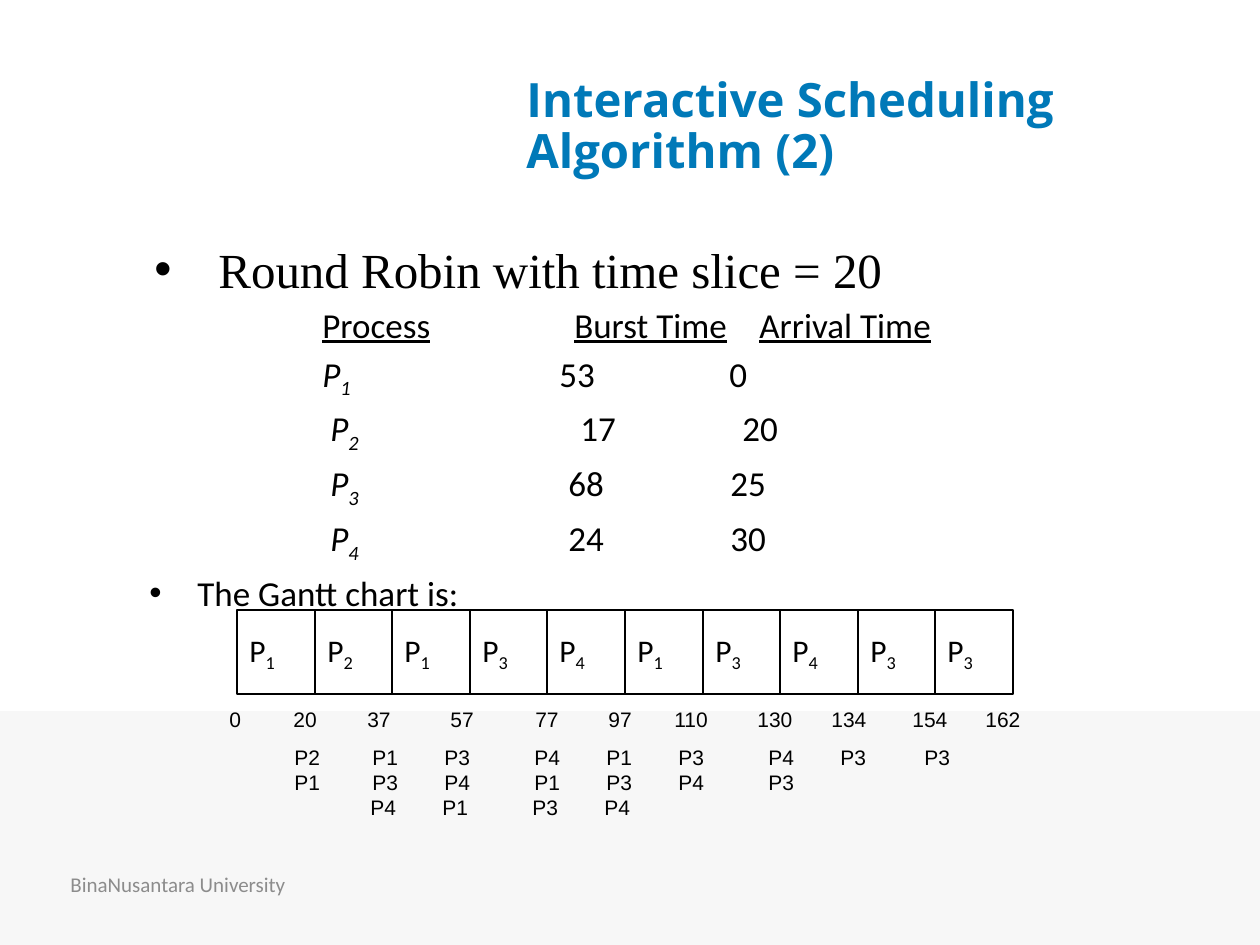
from lxml import etree
from pptx import Presentation, util as u
from pptx.dml.color import RGBColor
from pptx.enum import shapes, text
from pptx.oxml.ns import qn

SCALE = 914400 / 126
BLUE = RGBColor(0x00, 0x79, 0xB8)
BLACK = RGBColor(0, 0, 0)
WHITE = RGBColor(255, 255, 255)
PALE = RGBColor(0xF7, 0xF7, 0xF7)
GREY = RGBColor(0x8C, 0x8C, 0x8C)
MIDDLE = text.MSO_ANCHOR.MIDDLE

ROWS = [
    ("1", "53", "0", (173, 410, 580)),
    ("2", "17", "20", (181, 431, 593)),
    ("3", "68", "25", (181, 419, 581)),
    ("4", "24", "30", (181, 419, 581)),
]
GANTT = "1213413433"
TIMES = [
    ("0", 217), ("20", 281), ("37", 355), ("57", 438), ("77", 523), ("97", 596),
    ("110", 662), ("130", 745), ("134", 819), ("154", 900), ("162", 973),
]
STOPS = (104, 182, 254, 344, 416, 488, 578, 650, 734)
QUEUE = [
    ("\tP2\tP1\tP3\tP4\tP1\tP3\tP4\tP3\tP3", 0),
    ("\tP1\tP3\tP4\tP1\tP3\tP4\tP3", 0),
    ("\t\tP4\tP1\tP3\tP4", -2),
]


def px(num):
    return u.Emu(round(num * SCALE))


def frame(slide, area, anchor=text.MSO_ANCHOR.TOP, wrap=True):
    box = slide.shapes.add_textbox(*map(px, area)).text_frame
    box.word_wrap = wrap
    box.vertical_anchor = anchor
    return box


def style(par, face, size, color=BLACK):
    for run in par.runs:
        run.font.name = face
        run.font.size = u.Pt(size)
        run.font.color.rgb = color


def label(slide, area, words, face, size, color=BLACK, anchor=MIDDLE, wrap=True):
    box = frame(slide, area, anchor, wrap)
    box.text = words
    par = box.paragraphs[0]
    style(par, face, size, color)
    return par


def rect(slide, area, fill):
    shape = slide.shapes.add_shape(shapes.MSO_SHAPE.RECTANGLE, *map(px, area))
    shape.shadow.inherit = False
    shape.fill.solid()
    shape.fill.fore_color.rgb = fill
    shape.line.fill.background()
    return shape


def bullet(par, gap):
    props = par._p.get_or_add_pPr()
    props.set("marL", str(px(gap)))
    props.set("indent", str(px(-gap)))
    etree.SubElement(props, qn("a:buFont"), typeface="Arial")
    etree.SubElement(props, qn("a:buChar"), char="•")


def tabs(par, stops):
    group = etree.SubElement(par._p.get_or_add_pPr(), qn("a:tabLst"))
    for stop in stops:
        etree.SubElement(group, qn("a:tab"), pos=str(px(stop)), algn="l")


def add(par, words):
    run = par.add_run()
    run.text = words
    return run


def lower(run):
    run._r.get_or_add_rPr().set("baseline", "-25000")


def table(slide):
    box = frame(slide, (137, 297, 969, 567))
    head = box.paragraphs[0]
    tabs(head, (173, 353, 425, 610))
    add(head, "\t")
    add(head, "Process\t").font.underline = True
    add(head, "\t")
    add(head, "Burst Time\tArrival Time").font.underline = True
    style(head, "Calibri", 20)
    for index, burst, start, stops in ROWS:
        par = box.add_paragraph()
        tabs(par, stops)
        par.space_before = u.Pt(4)
        add(par, "\tP").font.italic = True
        sub = add(par, index)
        sub.font.italic = True
        lower(sub)
        add(par, f"\t{burst}\t{start}")
        style(par, "Calibri", 20)
    last = box.add_paragraph()
    bullet(last, 48)
    last.space_before = u.Pt(4)
    last.text = "The Gantt chart is:"
    style(last, "Calibri", 20)


def gantt(slide):
    edges = [237 + round(776 * i / len(GANTT)) for i in range(len(GANTT) + 1)]
    for index, left, right in zip(GANTT, edges, edges[1:]):
        cell = rect(slide, (left, 610, right - left, 84), WHITE)
        cell.line.color.rgb = BLACK
        cell.line.width = u.Pt(0.75)
        cell.text_frame.vertical_anchor = MIDDLE
        par = cell.text_frame.paragraphs[0]
        par.alignment = text.PP_ALIGN.LEFT
        add(par, "P")
        lower(add(par, index))
        style(par, "Calibri", 18)
    for time, left in TIMES:
        area = (left, 694, 25 + 18 * len(time), 50)
        label(slide, area, time, "Arial", 12, wrap=False)


def queue(slide):
    box = frame(slide, (178, 738, 876, 89))
    for i, (words, shift) in enumerate(QUEUE):
        par = box.add_paragraph() if i else box.paragraphs[0]
        tabs(par, [stop + shift for stop in STOPS])
        par.text = words
        style(par, "Arial", 12)


def main():
    deck = Presentation()
    deck.slide_width, deck.slide_height = px(1260), px(945)
    slide = deck.slides.add_slide(deck.slide_layouts[6])
    rect(slide, (0, 711, 1260, 234), PALE)
    title = label(slide, (514, 73, 693, 110), "Interactive Scheduling Algorithm (2)",
                  "Open Sans", 27, BLUE)
    title.line_spacing = 0.9
    title.runs[0].font.bold = True
    topic = label(slide, (142, 233, 761, 72), "Round Robin with time slice = 20",
                  "Times New Roman", 28, anchor=text.MSO_ANCHOR.TOP, wrap=False)
    bullet(topic, 64)
    gantt(slide)
    queue(slide)
    table(slide)
    label(slide, (58, 851, 294, 66), "BinaNusantara University", "Calibri", 12, GREY)
    deck.save("out.pptx")


if __name__ == "__main__":
    main()
